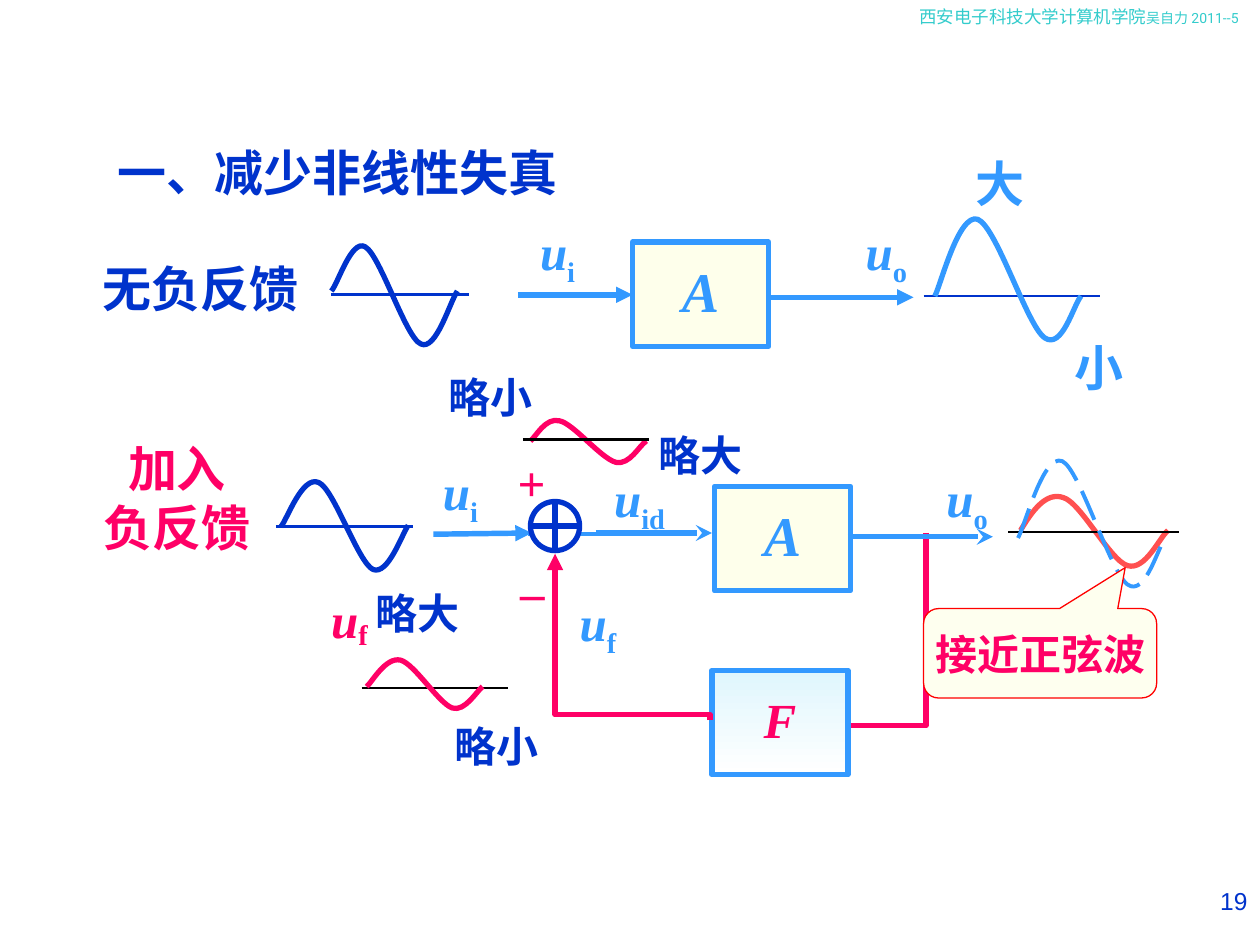
from dataclasses import dataclass
from typing import Optional

from lxml import etree
from pptx import Presentation
from pptx.dml.color import RGBColor
from pptx.enum.dml import MSO_LINE
from pptx.enum.shapes import MSO_CONNECTOR, MSO_SHAPE
from pptx.enum.text import MSO_ANCHOR, MSO_AUTO_SIZE, PP_ALIGN
from pptx.oxml.ns import qn
from pptx.util import Cm, Pt

LEFT, CENTER, RIGHT = PP_ALIGN.LEFT, PP_ALIGN.CENTER, PP_ALIGN.RIGHT
TOP, MIDDLE = MSO_ANCHOR.TOP, MSO_ANCHOR.MIDDLE
STRAIGHT, ELBOW = MSO_CONNECTOR.STRAIGHT, MSO_CONNECTOR.ELBOW
LONG_DASH = MSO_LINE.LONG_DASH

COLORS = {
    "navy": "0033CC", "sky": "3399FF", "pink": "FF0066", "coral": "FF5050",
    "red": "FF0000", "teal": "33CCCC", "black": "000000", "white": "FFFFFF",
    "cream": "FEFFEB", "note": "FEFFEF", "ice": "DFF6FD",
}
SERIF = "Times New Roman"


@dataclass
class Label:
    x: float
    y: float
    w: float
    h: float
    text: str
    color: str
    size: float = 28
    sub: str = ""
    drop: int = -25
    align: PP_ALIGN = LEFT
    font: str = SERIF
    bold: bool = True


@dataclass
class Wire:
    start: tuple
    end: tuple
    color: str
    width: float = 3.12
    head: str = ""


@dataclass
class Wave:
    curve: list
    color: str
    axis: Optional[Wire] = None
    width: float = 3
    dash: Optional[MSO_LINE] = None


@dataclass
class Block:
    x: float
    y: float
    name: str
    color: str
    size: float
    fills: tuple


def inch(value: float) -> Cm:
    return Cm(value * 2.54)


def rgb(color: str) -> RGBColor:
    return RGBColor.from_string(COLORS[color])


def style_line(shape, color: str, width: float, head: str = "") -> None:
    shape.line.color.rgb = rgb(color)
    shape.line.width = Pt(width)
    if head:
        etree.SubElement(shape.line._get_or_add_ln(), qn("a:tailEnd"), type=head)


def write(frame, label: Label, anchor: MSO_ANCHOR = TOP, wrap: bool = True) -> None:
    frame.word_wrap = wrap
    frame.auto_size = MSO_AUTO_SIZE.NONE
    frame.vertical_anchor = anchor
    frame.text = label.text
    for paragraph in frame.paragraphs:
        paragraph.alignment = label.align
        font = paragraph.font
        font.name, font.size, font.bold = label.font, Pt(label.size), label.bold
        font.color.rgb = rgb(label.color)
    if label.sub:
        frame.paragraphs[0].runs[0].font.italic = True
        subscript = frame.paragraphs[0].add_run()
        subscript.text = label.sub
        subscript.font._element.set("baseline", str(label.drop * 1000))


def draw_label(shapes, label: Label):
    box = shapes.add_textbox(*map(inch, (label.x, label.y, label.w, label.h)))
    write(box.text_frame, label)
    return box


def draw_wire(shapes, wire: Wire, kind: MSO_CONNECTOR = STRAIGHT):
    connector = shapes.add_connector(kind, *map(inch, wire.start + wire.end))
    style_line(connector, wire.color, wire.width, wire.head)
    etree.SubElement(connector._element.spPr, qn("a:effectLst"))
    return connector


def draw_outline(shapes, points: list, color: str, width: float):
    scaled = [(inch(x), inch(y)) for x, y in points]
    builder = shapes.build_freeform(*scaled[0])
    builder.add_line_segments(scaled[1:], close=False)
    outline = builder.convert_to_shape()
    outline.shadow.inherit = False
    outline.fill.background()
    style_line(outline, color, width)
    return outline


def draw_wave(shapes, wave: Wave) -> None:
    if wave.axis:
        draw_wire(shapes, wave.axis)
    outline = draw_outline(shapes, wave.curve, wave.color, wave.width)
    if wave.dash:
        outline.line.dash_style = wave.dash
    track = next(outline._element.iter(qn("a:path")))
    steps = track.findall(qn("a:lnTo"))
    for first in range(0, len(steps), 3):
        bezier = etree.SubElement(track, qn("a:cubicBezTo"))
        for step in steps[first:first + 3]:
            bezier.append(step[0])
            track.remove(step)


def draw_preset(shapes, kind: MSO_SHAPE, box: tuple, fills: tuple, color: str, width: float):
    shape = shapes.add_shape(kind, *map(inch, box))
    shape.shadow.inherit = False
    if len(fills) == 1:
        shape.fill.solid()
        shape.fill.fore_color.rgb = rgb(fills[0])
    else:
        shape.fill.gradient()
        shape.fill.gradient_angle = 270
        for stop, fill in zip(shape.fill.gradient_stops, fills):
            stop.color.rgb = rgb(fill)
    style_line(shape, color, width)
    return shape


def draw_block(shapes, block: Block) -> None:
    size = (1.08, 0.83)
    shape = draw_preset(shapes, MSO_SHAPE.RECTANGLE, (block.x, block.y, *size), block.fills, "sky", 3)
    caption = Label(block.x, block.y, *size, block.name, block.color, block.size, align=CENTER)
    write(shape.text_frame, caption, MIDDLE, wrap=False)
    paragraph = shape.text_frame.paragraphs[0]
    paragraph.line_spacing = 0.9
    paragraph.font.italic = True


def signal(x: float, y: float, sub: str) -> Label:
    return Label(x, y, 0.81, 0.63, "u", "sky", sub=sub, align=CENTER)


def remark(x: float, y: float, text: str) -> Label:
    return Label(x, y, 1.18, 0.5, text, "navy", 24)


WAVES = [
    Wave([(2.91, 5.45), (2.95, 5.42), (3.06, 5.21), (3.18, 5.24), (3.29, 5.27), (3.48, 5.58),
          (3.59, 5.62), (3.69, 5.65), (3.78, 5.49), (3.83, 5.45)],
         "pink", Wire((2.87, 5.46), (4.03, 5.46), "black", 1.5)),
    Wave([(2.23, 4.18), (2.28, 4.12), (2.4, 3.77), (2.53, 3.83), (2.65, 3.88), (2.84, 4.46),
          (2.96, 4.52), (3.08, 4.57), (3.19, 4.24), (3.24, 4.17)],
         "navy", Wire((2.19, 4.18), (3.28, 4.18), "navy", 1.5)),
    Wave([(2.63, 2.31), (2.68, 2.26), (2.79, 1.89), (2.9, 1.96), (3.02, 2.03), (3.22, 2.68),
          (3.34, 2.73), (3.46, 2.79), (3.57, 2.4), (3.63, 2.31)],
         "navy", Wire((2.63, 2.34), (3.72, 2.34), "navy", 1.5)),
    Wave([(8.1, 4.21), (8.19, 4.06), (8.3, 3.9), (8.44, 3.95), (8.58, 3.99), (8.81, 4.45),
          (8.95, 4.49), (9.09, 4.53), (9.2, 4.27), (9.27, 4.21)], "coral"),
    Wave([(8.08, 4.27), (8.14, 4.16), (8.28, 3.6), (8.43, 3.66), (8.57, 3.72), (8.81, 4.54),
          (8.95, 4.64), (9.09, 4.74), (9.19, 4.34), (9.25, 4.27)],
         "sky", Wire((8, 4.22), (9.36, 4.22), "black", 1), 2.25, LONG_DASH),
    Wave([(7.42, 2.35), (7.47, 2.25), (7.61, 1.69), (7.76, 1.74), (7.91, 1.8), (8.15, 2.58),
          (8.29, 2.68), (8.43, 2.78), (8.52, 2.42), (8.58, 2.35)],
         "sky", Wire((7.33, 2.35), (8.73, 2.35), "navy", 1.5)),
    Wave([(4.21, 3.5), (4.25, 3.47), (4.33, 3.31), (4.44, 3.34), (4.55, 3.36), (4.77, 3.64),
          (4.89, 3.67), (5, 3.69), (5.07, 3.54), (5.13, 3.5)], "pink"),
]
BLOCKS = [
    Block(5.65, 5.32, "F", "pink", 28, ("ice", "white")),
    Block(5.02, 1.92, "A", "sky", 32, ("cream",)),
    Block(5.67, 3.86, "A", "sky", 32, ("cream",)),
]
WIRES = [
    Wire((4.15, 3.49), (5.15, 3.49), "black", 1.5),
    Wire((4.11, 2.34), (5.02, 2.34), "sky", head="triangle"),
    Wire((6.11, 2.36), (7.25, 2.36), "sky", head="triangle"),
    Wire((3.44, 4.24), (4.22, 4.23), "sky", head="triangle"),
    Wire((4.73, 4.23), (5.65, 4.23), "sky", head="stealth"),
    Wire((6.73, 4.26), (7.88, 4.26), "sky", head="stealth"),
    Wire((4.19, 4.24), (4.73, 4.24), "sky", 2.25),
]
LABELS = [
    Label(0.56, 3.43, 1.69, 1.04, "加入\n负反馈", "pink", align=CENTER),
    Label(0.59, 2, 2, 0.57, "无负反馈", "navy", align=CENTER),
    Label(2.53, 4.63, 0.67, 0.59, "u", "pink", sub="f", drop=-14),
    signal(4.34, 4.65, "f"), signal(4.02, 1.71, "i"), signal(6.63, 1.71, "o"),
    signal(4.67, 3.67, "id"), signal(7.27, 3.67, "o"), signal(3.25, 3.61, "i"),
    Label(4.01, 3.54, 0.45, 0.57, "+", "pink"), Label(4.03, 4.41, 0.45, 0.57, "–", "pink"),
    Label(7.64, 1.17, 0.65, 0.57, "大", "sky"), Label(8.43, 2.63, 0.65, 0.57, "小", "sky"),
    remark(2.88, 4.61, "略大"), remark(3.51, 5.67, "略小"),
    remark(3.46, 2.9, "略小"), remark(5.13, 3.36, "略大"),
    Label(7.5, 6.98, 2.5, 0.52, "19", "navy", 14, align=RIGHT, font="Arial", bold=False),
]


def main() -> None:
    deck = Presentation()
    deck.slide_width, deck.slide_height = inch(10), inch(7.5)
    slide = deck.slides.add_slide(deck.slide_layouts[5])
    shapes = slide.shapes
    heading = shapes.title
    heading.left, heading.top, heading.width, heading.height = map(inch, (0.83, 1.08, 4.58, 0.57))
    write(heading.text_frame, Label(0.83, 1.08, 4.58, 0.57, "一、减少非线性失真", "navy"))
    header = draw_label(shapes, Label(7.2, 0, 2.8, 0.4, "西安电子科技大学计算机学院", "teal", 10,
                                      font="Roboto", bold=False))
    author = header.text_frame.paragraphs[0].add_run()
    author.text = "吴自力 2011--5"
    author.font.size = Pt(8)

    draw_outline(shapes, [(7.35, 4.23), (7.35, 5.76), (6.75, 5.76)], "pink", 3)
    for wave in WAVES:
        draw_wave(shapes, wave)
    for block in BLOCKS:
        draw_block(shapes, block)
    for wire in WIRES:
        draw_wire(shapes, wire)
    feedback = draw_wire(shapes, Wire((4.36, 4.44), (5.68, 5.67), "pink", head="triangle"), ELBOW)
    turn = feedback._element.spPr.find(qn("a:xfrm"))
    turn.set("rot", "16200000")
    turn.set("flipV", "1")
    bend = next(feedback._element.iter(qn("a:avLst")))
    etree.SubElement(bend, qn("a:gd"), name="adj1", fmla="val 3300")
    for label in LABELS:
        draw_label(shapes, label)

    draw_preset(shapes, MSO_SHAPE.FLOWCHART_OR, (4.21, 3.98, 0.39, 0.39), ("white",), "navy", 3)
    place = (7.33, 4.83, 1.85, 0.71)
    callout = draw_preset(shapes, MSO_SHAPE.ROUNDED_RECTANGULAR_CALLOUT, place, ("note",), "red", 0.75)
    for index, value in enumerate((0.365, -0.958, 0.167)):
        callout.adjustments[index] = value
    write(callout.text_frame, Label(*place, "接近正弦波", "pink", 24, align=CENTER), MIDDLE, wrap=False)
    deck.save("out.pptx")


if __name__ == "__main__":
    main()
